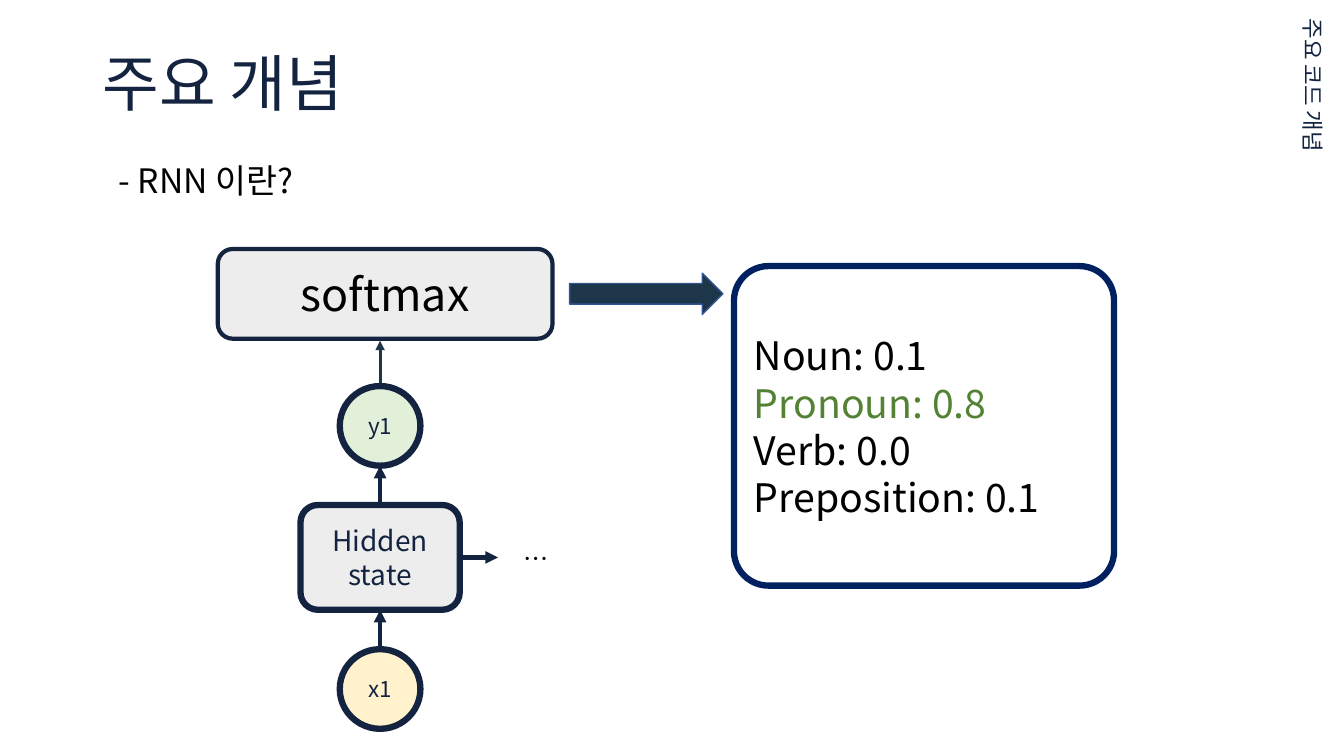
"""Build a slide that explains an RNN step with a softmax output."""
from lxml.etree import SubElement
from pptx import Presentation
from pptx.dml.color import RGBColor as RGB
from pptx.enum.shapes import MSO_CONNECTOR as LINK, MSO_SHAPE as SHAPE
from pptx.enum.text import MSO_ANCHOR as ANCHOR, MSO_AUTO_SIZE as AUTO, PP_ALIGN as ALIGN
from pptx.oxml.ns import qn
from pptx.util import Inches, Pt

FONT = "Noto Sans CJK KR"
HUES = {name: RGB.from_string(code) for name, code in {
    "navy": "142440", "black": "000000", "white": "FFFFFF", "blue": "002060",
    "green": "548235", "slate": "1D364A", "edge": "325491", "gray": "EDEDED",
    "cream": "FFF2CC", "mint": "E2F0D9"}.items()}


def write(shape, lines, size, align=ALIGN.LEFT, anchor=ANCHOR.MIDDLE, wrap=True):
    """Fill a shape with (text, hue) lines."""
    frame = shape.text_frame
    frame.word_wrap = wrap
    frame.vertical_anchor = anchor
    for i, (text, hue) in enumerate(lines):
        para = frame.add_paragraph() if i else frame.paragraphs[0]
        para.text = text
        para.alignment = align
        para.font.size = Pt(size)
        para.font.color.rgb = HUES[hue]
        para.font.name = FONT
        SubElement(para._p.pPr.find(qn("a:defRPr")), qn("a:ea"), typeface=FONT)
    return frame


def join(start, end, hue, width):
    """Draw an arrow between two points."""
    link = slide.shapes.add_connector(LINK.STRAIGHT, *map(Inches, start + end))
    link.line.color.rgb = HUES[hue]
    link.line.width = Pt(width)
    SubElement(link.line._get_or_add_ln(), qn("a:tailEnd"), type="triangle")
    SubElement(link._element.spPr, qn("a:effectLst"))
    return link


deck = Presentation()
deck.slide_width, deck.slide_height = Inches(13.33), Inches(7.5)
slide = deck.slides.add_slide(deck.slide_layouts[6])

title = slide.shapes.add_textbox(*map(Inches, (0.92, 0.13, 11.5, 1.45)))
write(title, [("주요 개념", "navy")], 44).paragraphs[0].line_spacing = 0.9

for text, box, size, hue, wrap, turn in (
        ("- RNN 이란?", (1.08, 1.54, 2.23, 0.5), 24, "black", False, 0),
        ("주요 코드 개념", (11.63, 1.29, 2.78, 0.37), 16, "navy", True, 90),
        ("…", (5.09, 5.34, 0.45, 0.4), 18, "black", False, 0)):
    label = slide.shapes.add_textbox(*map(Inches, box))
    label.rotation = turn
    frame = write(label, [(text, hue)], size, anchor=ANCHOR.TOP, wrap=wrap)
    frame.auto_size = AUTO.SHAPE_TO_FIT_TEXT

join((3.77, 3.96), (3.77, 3.38), "slate", 2.25)

scores = [("Noun: 0.1", "black"), ("Pronoun: 0.8", "green"),
          ("Verb: 0.0", "black"), ("Preposition: 0.1", "black")]
nodes = {}
for name, kind, box, fill, edge, width, lines, size, align in (
        ("scores", SHAPE.ROUNDED_RECTANGLE, (7.28, 2.64, 3.77, 3.17),
         "white", "blue", 4.5, scores, 28, ALIGN.LEFT),
        ("softmax", SHAPE.ROUNDED_RECTANGLE, (2.16, 2.47, 3.32, 0.89),
         "gray", "navy", 3, [("softmax", "black")], 32, ALIGN.CENTER),
        ("hidden", SHAPE.ROUNDED_RECTANGLE, (2.98, 5.01, 1.58, 1.04),
         "gray", "navy", 4.5, [("Hidden state", "navy")], 20, ALIGN.CENTER),
        ("x1", SHAPE.OVAL, (3.37, 6.44, 0.8, 0.79),
         "cream", "navy", 4.5, [("x1", "navy")], 16, ALIGN.CENTER),
        ("y1", SHAPE.OVAL, (3.37, 3.83, 0.8, 0.79),
         "mint", "navy", 4.5, [("y1", "navy")], 16, ALIGN.CENTER),
        ("arrow", SHAPE.RIGHT_ARROW, (5.65, 2.71, 1.52, 0.41),
         "slate", "edge", 1, [], 16, ALIGN.CENTER)):
    node = nodes[name] = slide.shapes.add_shape(kind, *map(Inches, box))
    node.shadow.inherit = False
    node.fill.solid()
    node.fill.fore_color.rgb = HUES[fill]
    node.line.color.rgb = HUES[edge]
    node.line.width = Pt(width)
    write(node, lines, size, align)
nodes["scores"].adjustments[0] = 0.108

feed = join((3.77, 6.44), (3.77, 6.05), "navy", 3)
feed.begin_connect(nodes["x1"], 0)
feed.end_connect(nodes["hidden"], 2)
rise = join((3.77, 5.01), (3.77, 4.62), "navy", 3)
rise.begin_connect(nodes["hidden"], 0)
step = join((4.56, 5.53), (4.94, 5.53), "navy", 3)
step.begin_connect(nodes["hidden"], 3)

deck.save("out.pptx")
